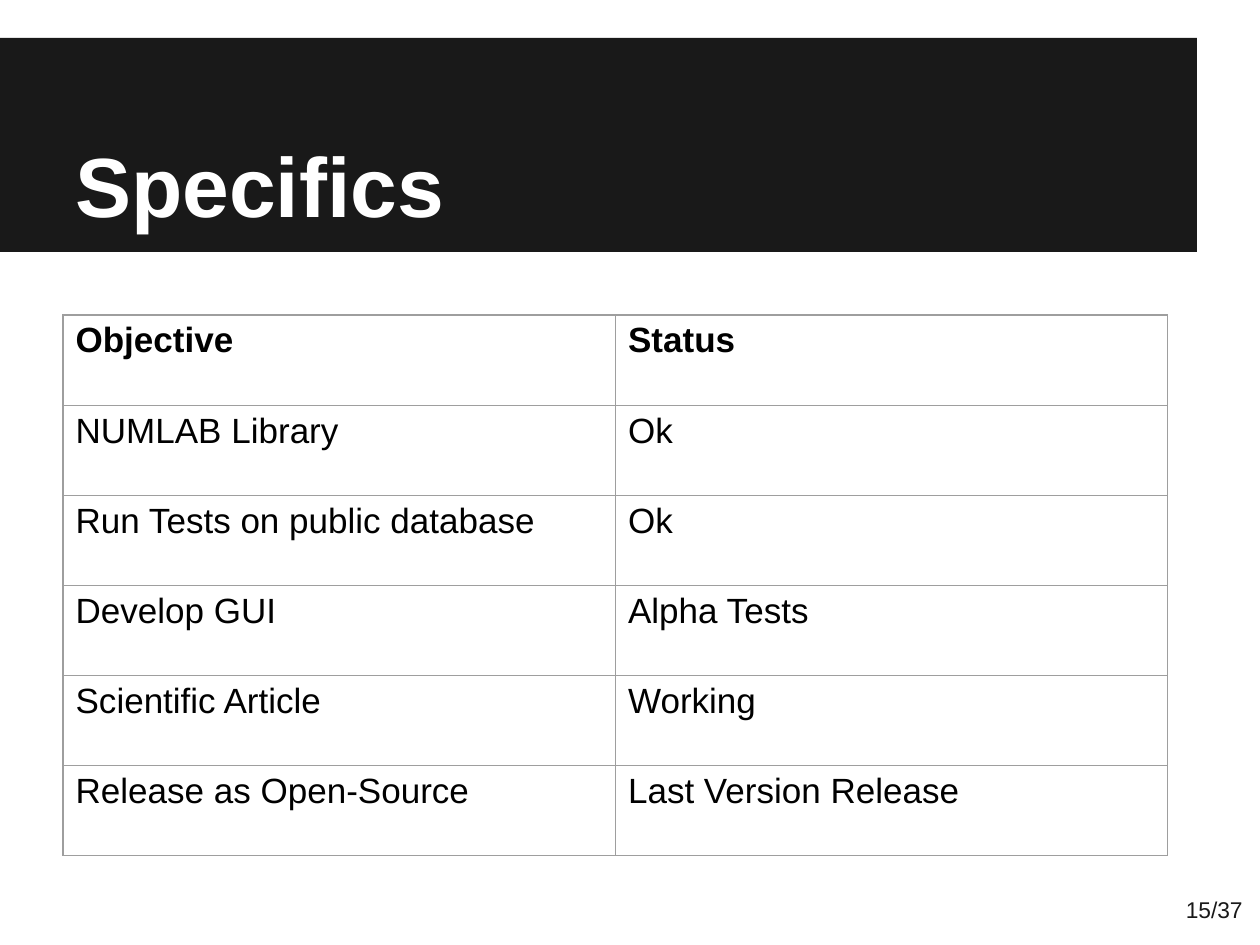
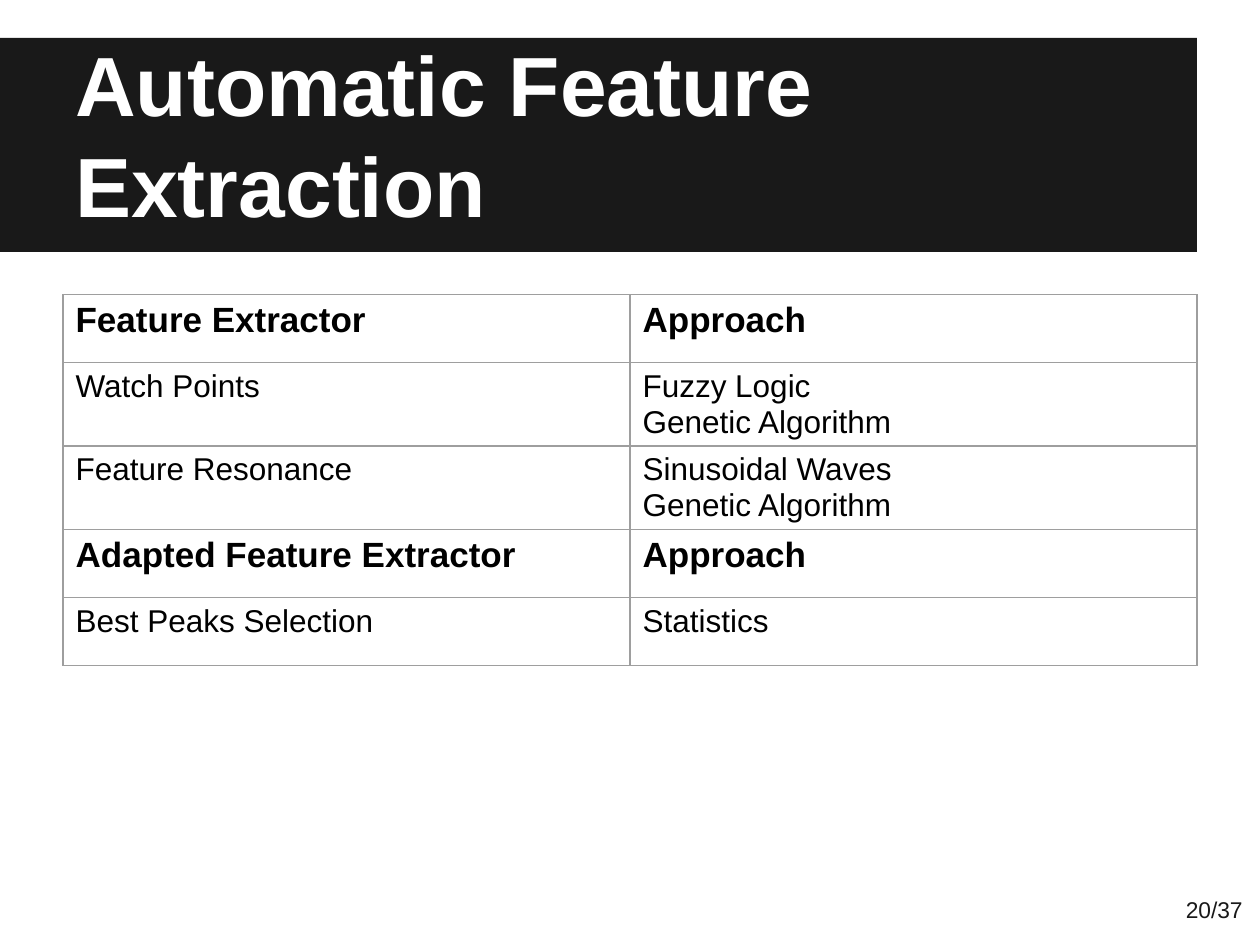
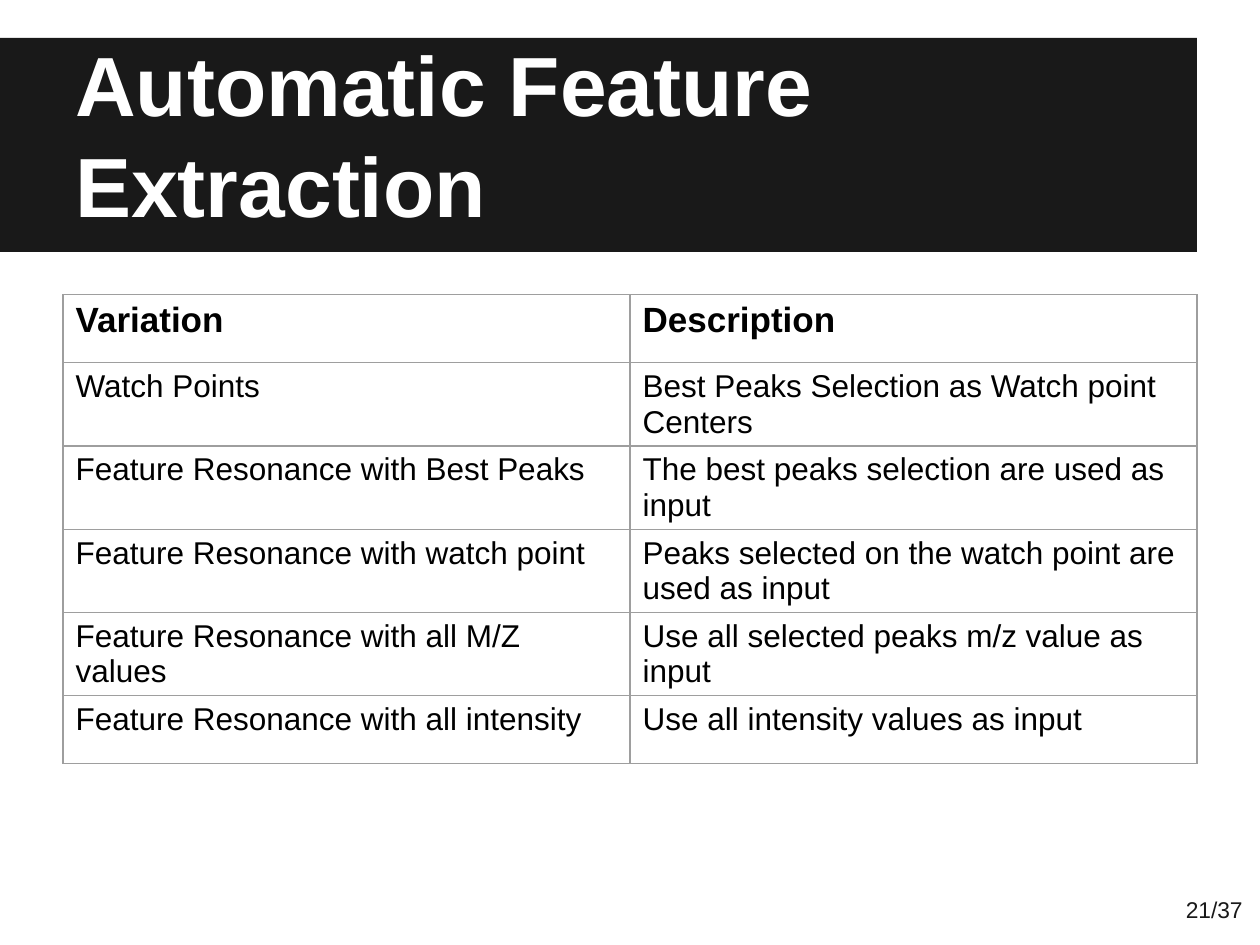
"""Build three slides, each with a title band, a two-column table and a page count."""
from lxml import etree
from pptx import Presentation
from pptx import util as u
from pptx.dml.color import RGBColor
from pptx.enum import shapes, text
from pptx.oxml.ns import qn

DARK = RGBColor(0x19, 0x19, 0x19)
WHITE = RGBColor(0xFF, 0xFF, 0xFF)
BLACK = RGBColor(0x00, 0x00, 0x00)
GREY = RGBColor(0x9E, 0x9E, 0x9E)

WIDTH, HEIGHT, MARGIN = 10, 7.5, 0.5
PAGES = 37
TITLE = {"size": u.Pt(48), "bold": True, "name": "Arial"}
FOOTER = {"size": u.Pt(13), "bold": False, "name": "Arial"}
HEADING = {"size": u.Pt(20), "bold": True, "name": "Arial"}

SLIDES = [
    {
        "title": "Specifics", "page": 15, "top": 2.5, "width": 8.77,
        "row": 4.29 / 6, "body": 20, "headings": [0],
        "rows": [
            ("Objective", "Status"),
            ("NUMLAB Library", "Ok"),
            ("Run Tests on public database", "Ok"),
            ("Develop GUI", "Alpha Tests"),
            ("Scientific Article", "Working"),
            ("Release as Open-Source", "Last Version Release"),
        ],
    },
    {
        "title": "Automatic Feature Extraction", "page": 20, "top": 2.34, "width": 9,
        "row": 0.54, "body": 18, "headings": [0, 3],
        "rows": [
            ("Feature Extractor", "Approach"),
            ("Watch Points", "Fuzzy Logic\nGenetic Algorithm"),
            ("Feature Resonance", "Sinusoidal Waves\nGenetic Algorithm"),
            ("Adapted Feature Extractor", "Approach"),
            ("Best Peaks Selection", "Statistics"),
        ],
    },
    {
        "title": "Automatic Feature Extraction", "page": 21, "top": 2.34, "width": 9,
        "row": 0.54, "body": 18, "headings": [0],
        "rows": [
            ("Variation", "Description"),
            ("Watch Points", "Best Peaks Selection as Watch point Centers"),
            ("Feature Resonance with Best Peaks", "The best peaks selection are used as input"),
            ("Feature Resonance with watch point",
             "Peaks selected on the watch point are used as input"),
            ("Feature Resonance with all M/Z values", "Use all selected peaks m/z value as input"),
            ("Feature Resonance with all intensity", "Use all intensity values as input"),
        ],
    },
]


def style(tf, fmt, color):
    for p in tf.paragraphs:
        for r in p.runs:
            for key, value in fmt.items():
                setattr(r.font, key, value)
            r.font.color.rgb = color


def add_text(s, words, box, fmt, color, anchor, align):
    tf = s.shapes.add_textbox(*map(u.Inches, box)).text_frame
    tf.text = words
    tf.word_wrap = True
    tf.vertical_anchor = anchor
    for side in ("left", "top", "right", "bottom"):
        setattr(tf, f"margin_{side}", u.Inches(0.1))
    tf.paragraphs[0].alignment = align
    style(tf, fmt, color)


def add_band(s):
    sp = s.shapes.add_shape(shapes.MSO_SHAPE.RECTANGLE, 0, u.Inches(0.3),
                            u.Inches(WIDTH - MARGIN), u.Inches(1.7))
    sp.shadow.inherit = False
    sp.fill.solid()
    sp.fill.fore_color.rgb = DARK
    sp.line.fill.background()


def add_borders(cell):
    props = cell._tc.get_or_add_tcPr()
    for i, side in enumerate(("lnL", "lnR", "lnT", "lnB")):
        ln = etree.Element(qn(f"a:{side}"), w=str(u.Pt(0.75)))
        fill = etree.SubElement(ln, qn("a:solidFill"))
        etree.SubElement(fill, qn("a:srgbClr"), val=str(GREY))
        props.insert(i, ln)


def add_grid(s, data):
    rows = data["rows"]
    count = len(rows[0])
    box = (MARGIN, data["top"], data["width"], data["row"] * len(rows))
    table = s.shapes.add_table(len(rows), count, *map(u.Inches, box)).table
    table.first_row = table.horz_banding = False
    for col in table.columns:
        col.width = u.Inches(data["width"] / count)
    body = {**HEADING, "size": u.Pt(data["body"]), "bold": False}
    for i, row in enumerate(rows):
        table.rows[i].height = u.Inches(data["row"])
        for j, words in enumerate(row):
            cell = table.cell(i, j)
            cell.text = words
            cell.margin_bottom = u.Inches(0.01)
            cell.fill.background()
            style(cell.text_frame, HEADING if i in data["headings"] else body, BLACK)
            add_borders(cell)


def main():
    prs = Presentation()
    prs.slide_width, prs.slide_height = u.Inches(WIDTH), u.Inches(HEIGHT)
    for data in SLIDES:
        s = prs.slides.add_slide(prs.slide_layouts[6])
        add_band(s)
        add_text(s, data["title"], (MARGIN, 0.3, 9, 1.66), TITLE, WHITE,
                 text.MSO_ANCHOR.BOTTOM, text.PP_ALIGN.LEFT)
        add_text(s, f"{data['page']}/{PAGES}", (9.01, 6.93, 0.95, 0.57), FOOTER, DARK,
                 text.MSO_ANCHOR.MIDDLE, text.PP_ALIGN.RIGHT)
        add_grid(s, data)
    prs.save("out.pptx")


if __name__ == "__main__":
    main()
